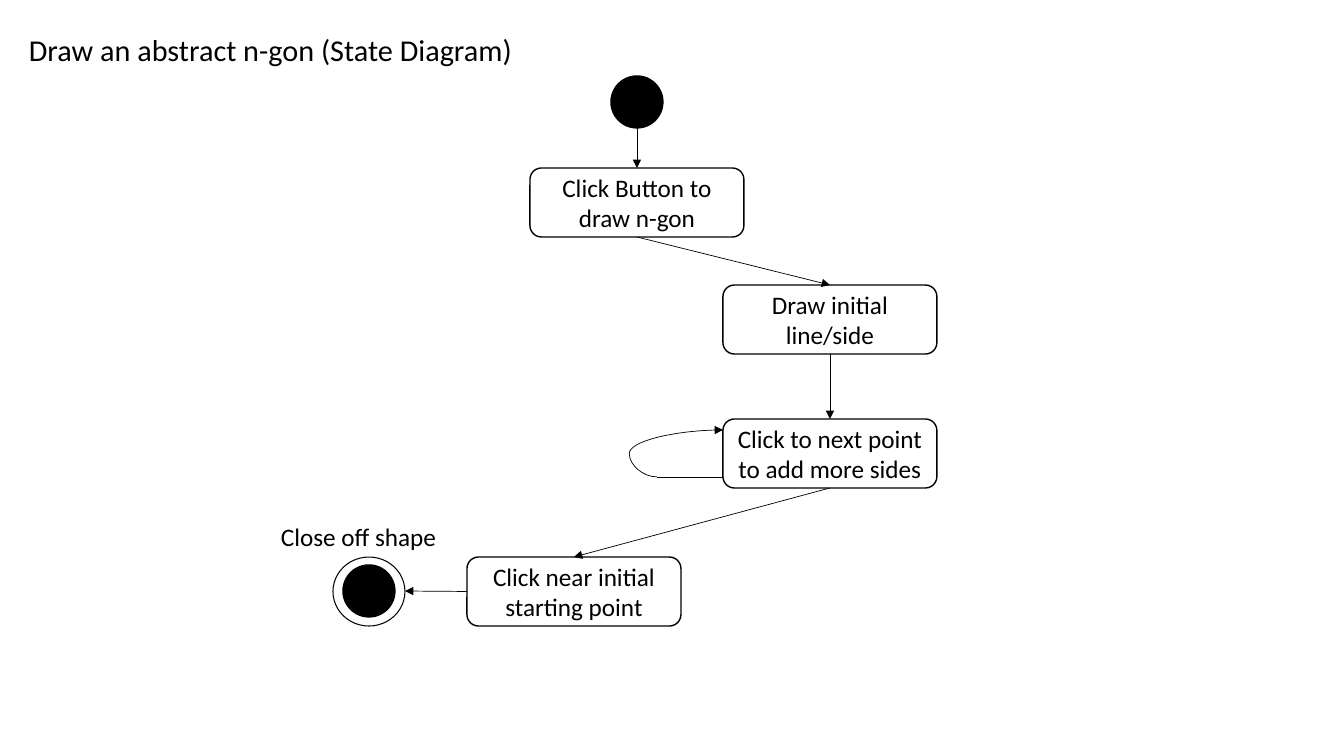
from collections import namedtuple
from dataclasses import dataclass

from lxml import etree
from pptx import Presentation
from pptx.dml.color import RGBColor
from pptx.enum.shapes import MSO_CONNECTOR as LINK, MSO_SHAPE as SHAPE
from pptx.enum.text import MSO_ANCHOR as ANCHOR, PP_ALIGN as ALIGN
from pptx.oxml.ns import qn
from pptx.util import Pt

EMU_PER_PIXEL = 914400 / 100.8
TOP, LEFT, BOTTOM = 0, 1, 2  # connection sites of a rounded rectangle

Box = namedtuple("Box", "left top width height")


@dataclass(frozen=True)
class Theme:
    """Colours, type sizes and line widths of the slide."""
    ink: RGBColor = RGBColor(0, 0, 0)
    paper: RGBColor = RGBColor(255, 255, 255)
    font: str = "Calibri"
    title_size: float = 21.6
    body_size: float = 18
    outline: float = 1
    ring: float = 0.75
    arrow: float = 0.5


THEME = Theme()


def px(length):
    """Turn pixels into EMU."""
    return round(length * EMU_PER_PIXEL)


def write(frame, text, size, align=ALIGN.LEFT, wrap=True):
    """Put one paragraph in a text frame."""
    frame.word_wrap = wrap
    frame.vertical_anchor = ANCHOR.MIDDLE
    para = frame.paragraphs[0]
    para.text = text
    para.alignment = align
    para.font.name = THEME.font
    para.font.size = Pt(size)
    para.font.color.rgb = THEME.ink
    return para


def add_label(page, box, text, size, wrap=True):
    """Add left-aligned text without an outline."""
    label = page.shapes.add_textbox(*map(px, box))
    return write(label.text_frame, text, size, wrap=wrap)


def add_outlined(page, kind, box, fill, width):
    """Add a preset shape with an ink outline; no fill when fill is None."""
    shape = page.shapes.add_shape(kind, *map(px, box))
    shape.shadow.inherit = False
    if fill is None:
        shape.fill.background()
    else:
        shape.fill.solid()
        shape.fill.fore_color.rgb = fill
    shape.line.color.rgb = THEME.ink
    shape.line.width = Pt(width)
    return shape


def add_state(page, box, text):
    """Add a rounded state box with centred text."""
    state = add_outlined(page, SHAPE.ROUNDED_RECTANGLE, box, THEME.paper, THEME.outline)
    write(state.text_frame, text, THEME.body_size, ALIGN.CENTER)
    return state


def add_dot(page, box):
    """Add a solid circle that fills the box."""
    return add_outlined(page, SHAPE.OVAL, box, THEME.ink, THEME.outline)


def add_final(page, box, dot_size):
    """Add the end marker: a dot centred in a ring."""
    add_dot(page, Box(box.left + (box.width - dot_size) // 2,
                      box.top + (box.height - dot_size) // 2, dot_size, dot_size))
    add_outlined(page, SHAPE.OVAL, box, None, THEME.ring)


def add_link(page, start, end, kind=LINK.STRAIGHT, head=True):
    """Draw a thin connector between two points, with an arrowhead if asked."""
    link = page.shapes.add_connector(kind, *map(px, start + end))
    link.line.color.rgb = THEME.ink
    link.line.width = Pt(THEME.arrow)
    if head:
        etree.SubElement(link.line._get_or_add_ln(), qn("a:tailEnd"), type="triangle")
    etree.SubElement(link._element.spPr, qn("a:effectLst"))
    return link


def add_transition(page, source, target):
    """Glue an arrow from the bottom of one state to the top of the next."""
    link = add_link(page, (0, 0), (0, 0))
    link.begin_connect(source, BOTTOM)
    link.end_connect(target, TOP)


def add_self_loop(page, box):
    """Draw a loop that leaves and re-enters the left side of a state."""
    exit_y, entry_y = box.top + 58, box.top + 11
    turn_x = box.left - 66
    curve = add_link(page, (turn_x, exit_y), (box.left, entry_y), LINK.CURVE)
    guides = curve._element.spPr.find(qn("a:prstGeom")).get_or_add_avLst()
    etree.SubElement(guides, qn("a:gd"), name="adj1", fmla="val -42000")
    add_link(page, (turn_x, exit_y), (box.left, exit_y), head=False)


def add_diagram(page, box):
    """Draw the state diagram inside the box."""
    width, height, dot = 214, 69, 52

    def place(x, y, w=width, h=height):
        return Box(box.left + x, box.top + y, w, h)

    steps = [
        (place(197, 92), "Click Button to draw n-gon"),
        (place(390, 209), "Draw initial line/side"),
        (place(390, 343), "Click to next point to add more sides"),
        (place(134, 481), "Click near initial starting point"),
    ]
    states = [add_state(page, spot, text) for spot, text in steps]
    for source, target in zip(states, states[1:]):
        add_transition(page, source, target)

    first, repeat, last = steps[0][0], steps[2][0], steps[-1][0]
    middle = first.left + width // 2
    start = Box(middle - dot // 2, box.top, dot, dot)
    add_dot(page, start)
    entry = add_link(page, (middle, start.top + dot), (middle, first.top))
    entry.end_connect(states[0], TOP)

    add_self_loop(page, repeat)

    final = place(0, 481, 72)
    add_final(page, final, dot)
    centre = final.top + height // 2
    finish = add_link(page, (last.left, centre), (final.left + final.width, centre))
    finish.begin_connect(states[-1], LEFT)
    add_label(page, Box(final.left - 62, final.top - 41, 177, 40),
              "Close off shape", THEME.body_size, wrap=False)


def build():
    """Create the deck and save it."""
    deck = Presentation()
    deck.slide_width, deck.slide_height = px(1344), px(756)
    page = deck.slides.add_slide(deck.slide_layouts[6])
    title = add_label(page, Box(19, 17, 524, 69),
                      "Draw an abstract n-gon (State Diagram)", THEME.title_size)
    title.line_spacing = 0.9
    add_diagram(page, Box(333, 76, 604, 550))
    deck.save("out.pptx")


build()
